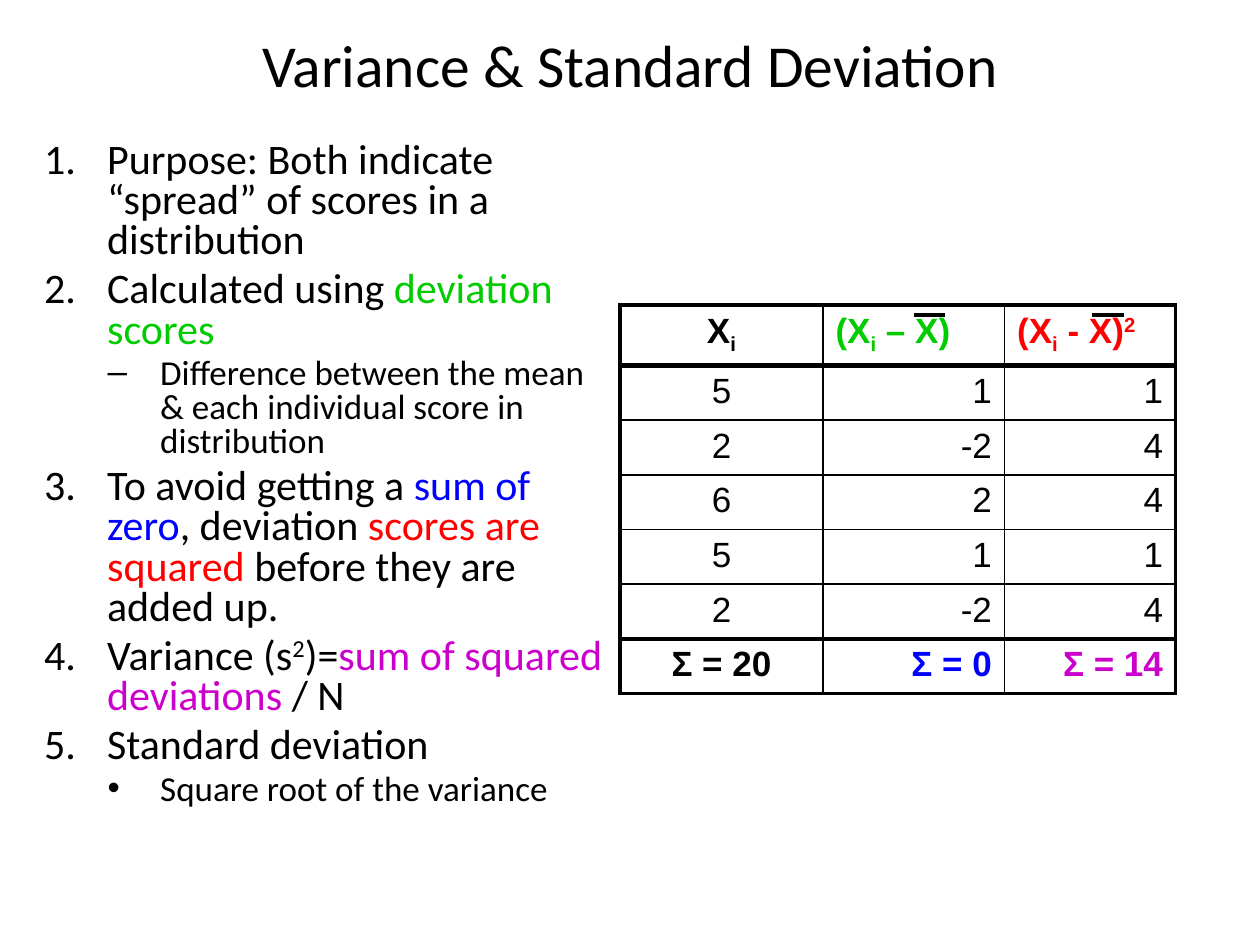
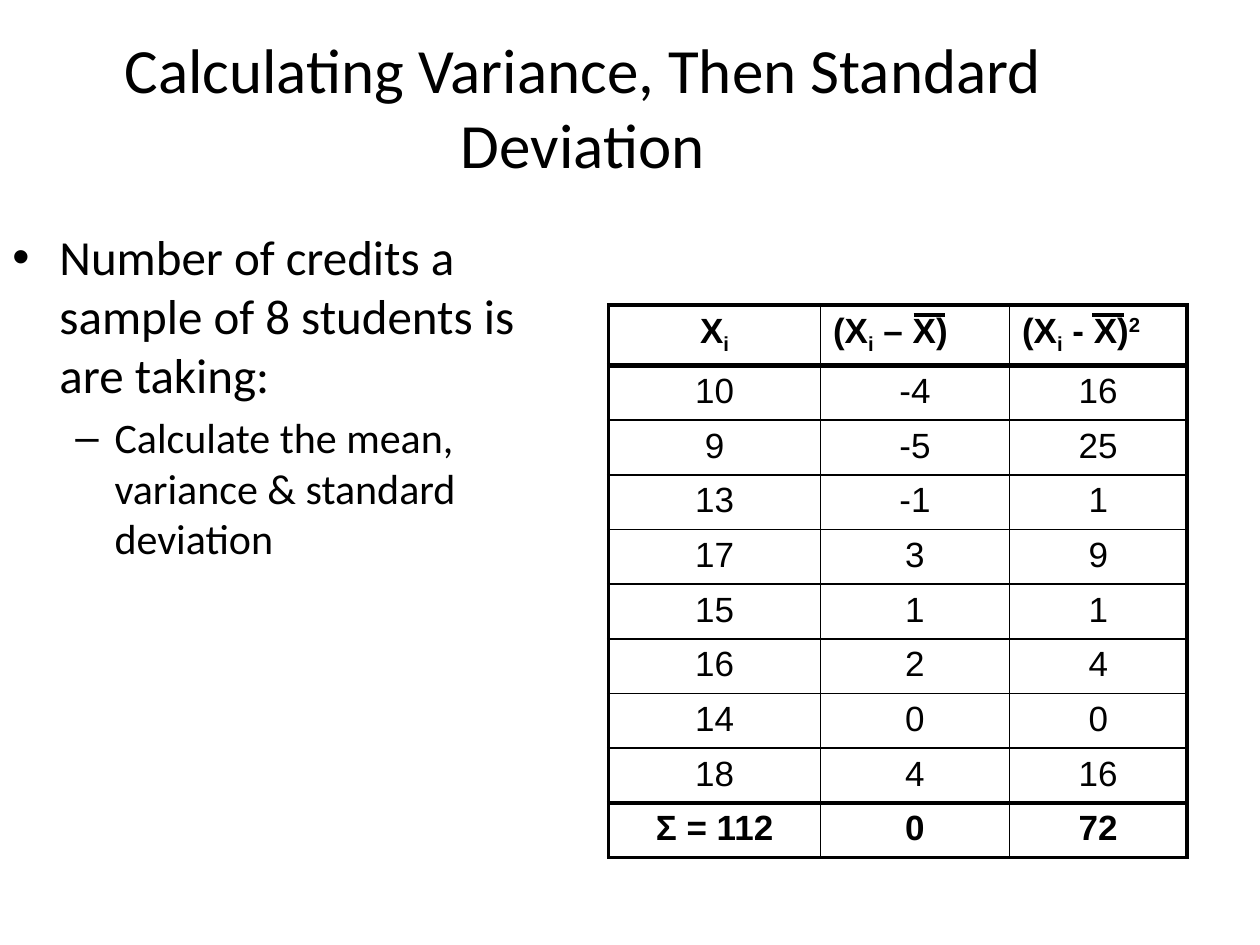
"""Builds two slides on variance and standard deviation."""
from dataclasses import dataclass

from pptx import Presentation
from pptx.dml.color import RGBColor
from pptx.enum.shapes import MSO_CONNECTOR
from pptx.enum.text import MSO_ANCHOR, PP_ALIGN
from pptx.oxml.ns import qn
from pptx.util import Cm, Pt
from lxml import etree

LEFT, CENTER, RIGHT = PP_ALIGN.LEFT, PP_ALIGN.CENTER, PP_ALIGN.RIGHT
MIDDLE = MSO_ANCHOR.MIDDLE
STRAIGHT = MSO_CONNECTOR.STRAIGHT


@dataclass(frozen=True)
class Theme:
    black: str = "000000"
    green: str = "00CC00"
    blue: str = "0000FF"
    red: str = "FF0000"
    purple: str = "CC00CC"
    text_font: str = "Calibri"
    table_font: str = "Arial"
    cell_size: int = 20
    thin: float = 1
    frame: float = 2.25
    rule: float = 3
    subscript: int = -25
    superscript: int = 30
    before: float = 0.2


T = Theme()
NUMBER, DASH, DOT = "arabicPeriod", "\u2013", "\u2022"
MEAN_BARS = [(18.42, 19.05), (22.02, 22.66)]
BAR_Y = 6.35

SLIDES = [
    {
        "title": ("Variance & Standard Deviation", 34, (1.27, 0.43, 22.86, 1.7)),
        "body_box": (0.64, 2.74, 11.86, 14.91),
        "line_spacing": 0.8,
        "levels": [(24, 1.27, 1.27), (20, 2.34, 1.06)],
        "body": [
            (0, NUMBER, [("Purpose: Both indicate \u201cspread\u201d of scores in a distribution",)]),
            (0, NUMBER, [("Calculated using ",), ("deviation scores", T.green)]),
            (1, DASH, [("Difference between the mean & each individual score in distribution",)]),
            (0, NUMBER, [("To avoid getting a ",), ("sum of zero", T.blue), (", deviation ",),
                         ("scores are squared", T.red), (" before they are added up.",)]),
            (0, NUMBER, [("Variance (s",), ("2", T.black, T.superscript), (")=",),
                         ("sum of squared deviations", T.purple), (" / N",)]),
            (0, NUMBER, [("Standard deviation",)]),
            (1, DOT, [("Square root of the variance",)]),
        ],
        "table_at": (12.5, 6.15),
        "cols": [4.09, 3.66, 3.45],
        "rows": [1.04, 0.84] + [0.89] * 5,
        "head_colors": [T.black, T.green, T.red],
        "total_colors": [T.black, T.blue, T.purple],
        "aligns": [CENTER, RIGHT, RIGHT],
        "data": [(5, 1, 1), (2, -2, 4), (6, 2, 4), (5, 1, 1), (2, -2, 4)],
        "totals": ["\u03a3 = 20", "\u03a3 = 0", "\u03a3 = 14"],
    },
    {
        "title": ("Calculating Variance, Then Standard Deviation", 36, (1.27, 0.33, 20.96, 3.61)),
        "body_box": (0, 4.45, 11.43, 12.57),
        "line_spacing": 1.0,
        "levels": [(28, 0.95, 0.95), (24, 2.06, 0.79)],
        "body": [
            (0, DOT, [("Number of credits a sample of 8 students is are taking:",)]),
            (1, DASH, [("Calculate the mean, variance & standard deviation",)]),
        ],
        "table_at": (12.27, 6.15),
        "cols": [4.27, 3.81, 3.58],
        "rows": [1.07, 0.84] + [0.89] * 4 + [1.09] * 3 + [0.91],
        "head_colors": [T.black] * 3,
        "total_colors": [T.black] * 3,
        "aligns": [CENTER] * 3,
        "data": [(10, -4, 16), (9, -5, 25), (13, -1, 1), (17, 3, 9),
                 (15, 1, 1), (16, 2, 4), (14, 0, 0), (18, 4, 16)],
        "totals": ["\u03a3 = 112", "0", "72"],
    },
]


def header_runs(colors):
    first, second, third = colors
    return [
        [("X", first), ("i", first, T.subscript)],
        [("(X", second), ("i", second, T.subscript), (" \u2013 X)", second)],
        [("(X", third), ("i", third, T.subscript), (" - X)", third),
         ("2", third, T.superscript)],
    ]


def add_run(p, font, size, bold, text, color=T.black, baseline=0):
    r = p.add_run()
    r.text = text
    r.font.name, r.font.size, r.font.bold = font, Pt(size), bold
    r.font.color.rgb = RGBColor.from_string(color)
    if baseline:
        r.font._element.set("baseline", str(baseline * 1000))


def add_text_box(s, box):
    tf = s.shapes.add_textbox(*map(Cm, box)).text_frame
    tf.word_wrap = True
    return tf


def add_title(s, text, size, box):
    tf = add_text_box(s, box)
    tf.vertical_anchor = MIDDLE
    p = tf.paragraphs[0]
    p.alignment = CENTER
    add_run(p, T.text_font, size, False, text)


def set_bullet(p, bullet, indent, hanging):
    pPr = p._p.get_or_add_pPr()
    pPr.set("marL", str(Cm(indent)))
    pPr.set("indent", str(-Cm(hanging)))
    if bullet == NUMBER:
        etree.SubElement(pPr, qn("a:buAutoNum"), type=bullet)
    else:
        etree.SubElement(pPr, qn("a:buFont"), typeface=T.table_font)
        etree.SubElement(pPr, qn("a:buChar"), char=bullet)


def add_body(s, spec):
    tf = add_text_box(s, spec["body_box"])
    for i, (level, bullet, runs) in enumerate(spec["body"]):
        p = tf.add_paragraph() if i else tf.paragraphs[0]
        size, indent, hanging = spec["levels"][level]
        p.level = level
        p.line_spacing = spec["line_spacing"]
        p.space_before = Pt(size * T.before)
        set_bullet(p, bullet, indent, hanging)
        for run in runs:
            add_run(p, T.text_font, size, False, *run)


def set_borders(cell, widths):
    tcPr = cell._tc.get_or_add_tcPr()
    for side, width in zip("LRTB", widths):
        ln = etree.SubElement(tcPr, qn("a:ln" + side), w=str(Pt(width)))
        fill = etree.SubElement(ln, qn("a:solidFill"))
        etree.SubElement(fill, qn("a:srgbClr"), val=T.black)


def add_score_table(s, spec):
    data = [[[(str(value),)] for value in row] for row in spec["data"]]
    totals = [[pair] for pair in zip(spec["totals"], spec["total_colors"])]
    grid = [header_runs(spec["head_colors"])] + data + [totals]
    cols, rows = spec["cols"], spec["rows"]
    last_row, last_col = len(rows) - 1, len(cols) - 1
    size = (sum(cols), sum(rows))
    table = s.shapes.add_table(len(rows), len(cols),
                               *map(Cm, spec["table_at"] + size)).table
    table.first_row = table.horz_banding = False
    for col, width in zip(table.columns, cols):
        col.width = Cm(width)
    for row, height in zip(table.rows, rows):
        row.height = Cm(height)
    edges = [T.frame, T.rule] + [T.thin] * (last_row - 2) + [T.rule, T.frame]
    for i, row in enumerate(grid):
        for j, runs in enumerate(row):
            cell = table.cell(i, j)
            set_borders(cell, (T.thin if j else T.frame,
                               T.frame if j == last_col else T.thin,
                               edges[i], edges[i + 1]))
            cell.fill.background()
            p = cell.text_frame.paragraphs[0]
            p.alignment = LEFT if i == 0 and j else spec["aligns"][j]
            for run in runs:
                add_run(p, T.table_font, T.cell_size, i in (0, last_row), *run)


def add_mean_bars(s):
    for start, end in MEAN_BARS:
        bar = s.shapes.add_connector(STRAIGHT, Cm(start), Cm(BAR_Y), Cm(end), Cm(BAR_Y))
        bar.line.width = Pt(T.frame)
        bar.line.color.rgb = RGBColor.from_string(T.black)
        etree.SubElement(bar._element.spPr, qn("a:effectLst"))


prs = Presentation()
prs.slide_width, prs.slide_height = Cm(25.4), Cm(19.05)
for spec in SLIDES:
    s = prs.slides.add_slide(prs.slide_layouts[6])
    add_title(s, *spec["title"])
    add_body(s, spec)
    add_score_table(s, spec)
    add_mean_bars(s)
prs.save("out.pptx")
